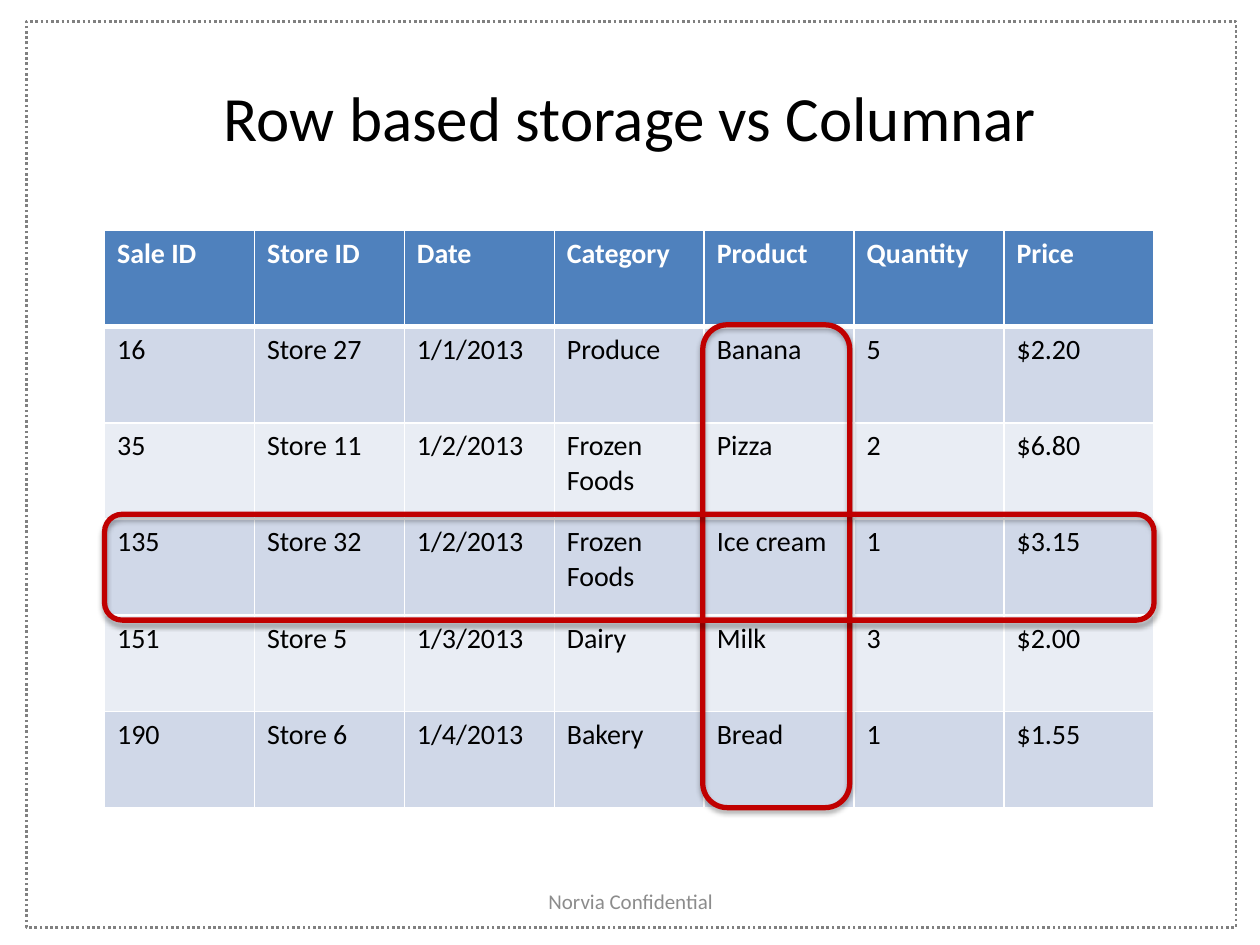
import dataclasses

import lxml.etree
import pptx
import pptx.dml.color
import pptx.enum.dml
import pptx.enum.shapes
import pptx.enum.text
import pptx.oxml
import pptx.oxml.ns
import pptx.util

ROWS = [
    ("Sale ID", "Store ID", "Date", "Category", "Product", "Quantity", "Price"),
    ("16", "Store 27", "1/1/2013", "Produce", "Banana", "5", "$2.20"),
    ("35", "Store 11", "1/2/2013", "Frozen Foods", "Pizza", "2", "$6.80"),
    ("135", "Store 32", "1/2/2013", "Frozen Foods", "Ice cream", "1", "$3.15"),
    ("151", "Store 5", "1/3/2013", "Dairy", "Milk", "3", "$2.00"),
    ("190", "Store 6", "1/4/2013", "Bakery", "Bread", "1", "$1.55"),
]


@dataclasses.dataclass(frozen=True)
class Theme:
    """Colours, font and type sizes of the slide."""
    font: str = "Calibri"
    text: str = "000000"
    paper: str = "FFFFFF"
    frame: str = "808080"
    footer: str = "8C8C8C"
    header: str = "4F81BD"
    bands: tuple = ("D0D8E8", "E9EDF4")
    highlight: str = "C00000"
    title_size: int = 36
    table_size: int = 16
    footer_size: int = 12
    thin: float = 1
    dotted: float = 1.5
    thick: float = 3


class SlideBuilder:
    """Draws styled elements on one slide, over a grid of table cells."""

    def __init__(self, presentation, theme):
        self.theme = theme
        self.slide = presentation.slides.add_slide(presentation.slide_layouts[5])
        self.left, self.top = pptx.util.Inches(0.83), pptx.util.Inches(1.83)
        self.column = pptx.util.Inches(8.33) / len(ROWS[0])
        self.row = pptx.util.Inches(4.58) / len(ROWS)

    def area(self, column, row, columns, rows):
        """Turns grid units into left, top, width and height."""
        return (round(self.left + column * self.column), round(self.top + row * self.row),
                round(columns * self.column), round(rows * self.row))

    def color(self, value):
        return pptx.dml.color.RGBColor.from_string(value)

    def add_text(self, text_frame, text, size, color, bold=False, alignment=None):
        paragraph = text_frame.paragraphs[0]
        paragraph.alignment = alignment
        run = paragraph.add_run()
        run.text = text
        run.font.name = self.theme.font
        run.font.size = pptx.util.Pt(size)
        run.font.bold = bold
        run.font.color.rgb = self.color(color)

    def add_centred_text(self, shape, text, size, color):
        shape.text_frame.word_wrap = True
        shape.text_frame.vertical_anchor = pptx.enum.text.MSO_ANCHOR.MIDDLE
        self.add_text(shape.text_frame, text, size, color,
                      alignment=pptx.enum.text.PP_ALIGN.CENTER)

    def outline(self, kind, area, color, width):
        shape = self.slide.shapes.add_shape(kind, *area)
        shape.shadow.inherit = False
        shape.fill.background()
        shape.line.color.rgb = self.color(color)
        shape.line.width = pptx.util.Pt(width)
        return shape

    def frame(self, *inches):
        shape = self.outline(pptx.enum.shapes.MSO_SHAPE.RECTANGLE,
                             [pptx.util.Inches(value) for value in inches],
                             self.theme.frame, self.theme.dotted)
        shape.fill.solid()
        shape.fill.fore_color.rgb = self.color(self.theme.paper)
        shape.line.dash_style = pptx.enum.dml.MSO_LINE.ROUND_DOT
        shape._element.getparent().insert(2, shape._element)

    def title(self, text, *inches):
        shape = self.slide.shapes.title
        shape.left, shape.top, shape.width, shape.height = map(pptx.util.Inches, inches)
        self.add_centred_text(shape, text, self.theme.title_size, self.theme.text)

    def footer(self, text, *inches):
        shape = self.slide.shapes.add_textbox(*map(pptx.util.Inches, inches))
        self.add_centred_text(shape, text, self.theme.footer_size, self.theme.footer)

    def borders(self, cell, row):
        """Rules the cell in white, with a thick rule under the header."""
        widths = {side: self.theme.thin for side in "LRTB"}
        if row < 2:
            widths["T" if row else "B"] = self.theme.thick
        properties = cell._tc.get_or_add_tcPr()
        for side, width in widths.items():
            properties.append(pptx.oxml.parse_xml(
                f'<a:ln{side} {pptx.oxml.ns.nsdecls("a")} w="{pptx.util.Pt(width)}"><a:solidFill>'
                f'<a:srgbClr val="{self.theme.paper}"/></a:solidFill></a:ln{side}>'))

    def table(self, rows):
        theme = self.theme
        table = self.slide.shapes.add_table(
            len(rows), len(rows[0]), *self.area(0, 0, len(rows[0]), len(rows))).table
        for row, values in enumerate(rows):
            header = row == 0
            for column, value in enumerate(values):
                cell = table.cell(row, column)
                self.borders(cell, row)
                cell.fill.solid()
                cell.fill.fore_color.rgb = self.color(
                    theme.header if header else theme.bands[(row - 1) % 2])
                self.add_text(cell.text_frame, value, theme.table_size,
                              theme.paper if header else theme.text, bold=header)

    def highlight(self, column, row, columns, rows):
        shape = self.outline(pptx.enum.shapes.MSO_SHAPE.ROUNDED_RECTANGLE,
                             self.area(column, row, columns, rows),
                             self.theme.highlight, self.theme.thick)
        effects = shape._element.spPr.find(pptx.oxml.ns.qn("a:effectLst"))
        shadow = lxml.etree.SubElement(
            effects, pptx.oxml.ns.qn("a:outerShdw"), blurRad=str(pptx.util.Pt(3.1)),
            dist=str(pptx.util.Pt(1.8)), dir="5400000", rotWithShape="0")
        color = lxml.etree.SubElement(shadow, pptx.oxml.ns.qn("a:srgbClr"), val=self.theme.text)
        lxml.etree.SubElement(color, pptx.oxml.ns.qn("a:alpha"), val="35000")


def main():
    presentation = pptx.Presentation()
    presentation.slide_width = pptx.util.Inches(10)
    presentation.slide_height = pptx.util.Inches(7.5)
    builder = SlideBuilder(presentation, Theme())
    builder.frame(0.21, 0.17, 9.6, 7.19)
    builder.title("Row based storage vs Columnar", 0.5, 0.3, 9, 1.25)
    builder.footer("Norvia Confidential", 3.42, 6.95, 3.17, 0.4)
    builder.table(ROWS)
    builder.highlight(column=3.99, row=0.98, columns=0.98, rows=5.02)
    builder.highlight(column=0, row=2.95, columns=7, rows=1.1)
    presentation.save("out.pptx")


if __name__ == "__main__":
    main()
